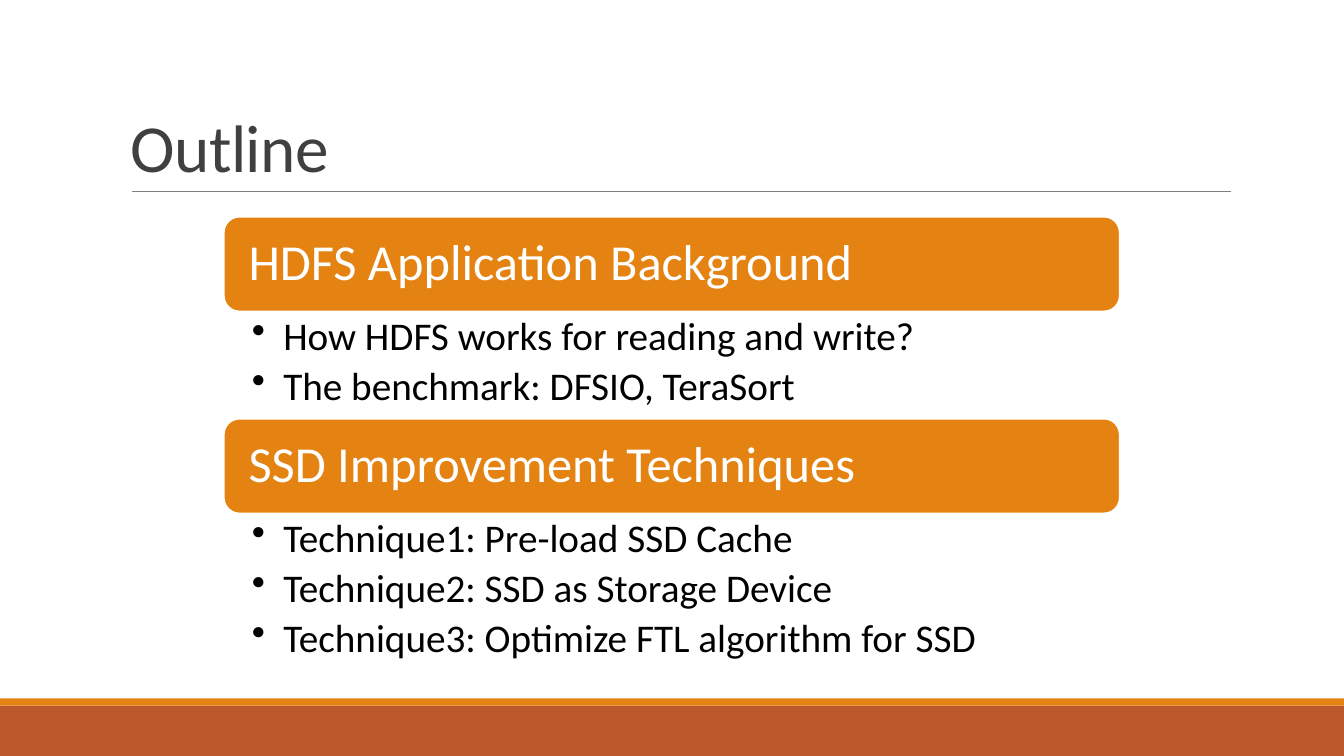
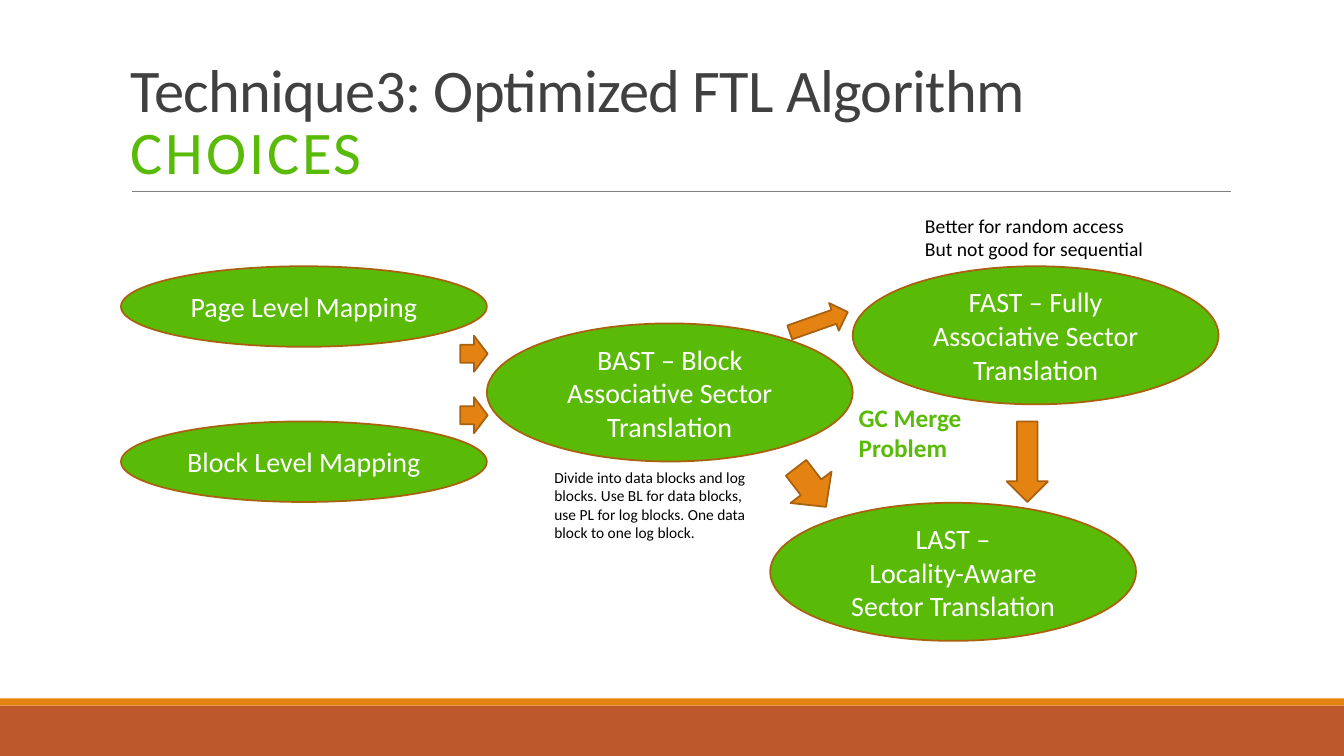
from lxml.etree import SubElement
from pptx import Presentation
from pptx.dml.color import RGBColor
from pptx.enum.shapes import MSO_CONNECTOR, MSO_SHAPE
from pptx.enum.text import MSO_ANCHOR, MSO_AUTO_SIZE, PP_ALIGN
from pptx.oxml.ns import qn
from pptx.util import Cm, Pt

WIDE, HIGH = 33.87, 19.05
FONT = "Calibri"
WHITE, BLACK, DARK, GREY = "FFFFFF", "000000", "404040", "808080"
GOLD, RUST, BROWN, GREEN = "E48312", "BD582C", "A9610D", "59BA08"


def tint(code):
    return RGBColor.from_string(code)


def say(part, text, size=20, color=BLACK, bold=False, align=PP_ALIGN.LEFT,
        lead=1.0, after=0, track=0, dot=None):
    part.text = text
    part.alignment = align
    part.line_spacing = lead
    part.space_before = Pt(0)
    part.space_after = Pt(after)
    run = part.runs[0]
    font = run.font
    font.name, font.size, font.bold = FONT, Pt(size), bold
    font.color.rgb = tint(color)
    if track:
        run._r.get_or_add_rPr().set("spc", str(int(track * 100)))
    if dot:
        prop = part._p.get_or_add_pPr()
        prop.set("marL", str(Cm(0.79)))
        prop.set("indent", str(-Cm(0.79)))
        SubElement(prop, qn("a:buChar")).set("char", dot)


class Deck:
    def __init__(self):
        self.show = Presentation()
        self.show.slide_width, self.show.slide_height = Cm(WIDE), Cm(HIGH)
        self.plan = self.show.slide_layouts[5]
        for item in list(self.plan.placeholders):
            if item.placeholder_format.idx:
                item.element.getparent().remove(item.element)
        self.slide = None

    def page(self, lines):
        first = self.slide is None
        self.slide = self.show.slides.add_slide(self.plan)
        if first:
            self.base()
        title = self.slide.shapes.title
        title.left, title.top = Cm(3.05), Cm(0.79)
        title.width, title.height = Cm(27.94), Cm(4.04)
        self.fill(title, lines, anchor=MSO_ANCHOR.BOTTOM, lead=0.85)

    def base(self):
        parts = [
            self.shape(MSO_SHAPE.RECTANGLE, 0, 17.78, WIDE, 1.27, RUST),
            self.shape(MSO_SHAPE.RECTANGLE, 0, 17.6, WIDE, 0.18, GOLD),
            self.rule(3.33, 4.83, 31.01),
        ]
        for part in parts:
            self.plan.shapes.element.append(part.element)

    def rule(self, left, top, right):
        line = self.slide.shapes.add_connector(
            MSO_CONNECTOR.STRAIGHT, Cm(left), Cm(top), Cm(right), Cm(top))
        line.line.color.rgb = tint(GREY)
        line.line.width = Pt(0.5)
        SubElement(line.element.spPr, qn("a:effectLst"))
        return line

    def shape(self, kind, left, top, wide, high, color, edge=None, turn=0):
        item = self.slide.shapes.add_shape(
            kind, Cm(left), Cm(top), Cm(wide), Cm(high))
        item.shadow.inherit = False
        item.fill.solid()
        item.fill.fore_color.rgb = tint(color)
        if edge:
            item.line.color.rgb = tint(edge)
            item.line.width = Pt(1.25)
        else:
            item.line.fill.background()
        item.rotation = turn
        return item

    def fill(self, item, lines, anchor=MSO_ANCHOR.TOP, wrap=True, inset=0.25, **form):
        frame = item.text_frame
        frame.auto_size = MSO_AUTO_SIZE.NONE
        frame.word_wrap = wrap
        frame.vertical_anchor = anchor
        frame.margin_left = frame.margin_right = Cm(inset)
        for spot, line in enumerate(lines):
            text, own = line if isinstance(line, tuple) else (line, {})
            part = frame.add_paragraph() if spot else frame.paragraphs[0]
            say(part, text, **{**form, **own})

    def note(self, left, top, wide, high, lines, **form):
        box = self.slide.shapes.add_textbox(Cm(left), Cm(top), Cm(wide), Cm(high))
        self.fill(box, lines, **form)

    def oval(self, left, top, high, lines):
        item = self.shape(MSO_SHAPE.OVAL, left, top, 9.22, high, GREEN, BROWN)
        self.fill(item, lines, anchor=MSO_ANCHOR.MIDDLE, color=WHITE,
                  align=PP_ALIGN.CENTER)

    def topic(self, top, head, lines):
        left, wide, bar = 5.64, 22.58, 2.39
        high = 1.35 * len(lines)
        item = self.shape(MSO_SHAPE.ROUNDED_RECTANGLE, left, top, wide, bar, GOLD, WHITE)
        self.fill(item, [head], anchor=MSO_ANCHOR.MIDDLE, inset=0.51,
                  size=36, color=WHITE, lead=0.9)
        self.note(left, top + bar, wide, high, lines, inset=0.71,
                  size=28, lead=0.9, after=5.6, dot="•")
        return top + bar + high


def outline(deck):
    deck.page([("Outline", dict(size=48, color=DARK, track=-0.5))])
    top = 5.46
    for head, lines in [
        ("HDFS Application Background",
         ["How HDFS works for reading and write?",
          "The benchmark: DFSIO, TeraSort"]),
        ("SSD Improvement Techniques",
         ["Technique1: Pre-load SSD Cache",
          "Technique2: SSD as Storage Device",
          "Technique3: Optimize FTL algorithm for SSD"]),
    ]:
        top = deck.topic(top, head, lines)


def choices(deck):
    deck.page([
        ("Technique3: Optimized FTL Algorithm", dict(size=43.2, color=DARK, track=-0.5)),
        ("CHOICES", dict(size=43.2, color=GREEN, track=2)),
    ])
    low, tall = 2.03, 3.48
    for left, top, high, lines in [
        (3.05, 6.71, low, ["Page Level Mapping"]),
        (3.05, 10.62, low, ["Block Level Mapping"]),
        (12.27, 8.15, tall, ["BAST – Block Associative Sector Translation"]),
        (21.49, 6.71, tall, ["FAST – Fully Associative Sector Translation"]),
        (19.41, 12.67, tall, ["LAST –", "Locality-Aware Sector Translation"]),
    ]:
        deck.oval(left, top, high, lines)
    right, down = MSO_SHAPE.RIGHT_ARROW, MSO_SHAPE.DOWN_ARROW
    for kind, left, top, wide, high, turn in [
        (right, 11.6, 8.46, 0.69, 0.91, 0),
        (right, 11.6, 10.01, 0.69, 0.91, 0),
        (right, 19.86, 7.75, 1.55, 0.74, 340.6),
        (down, 25.37, 10.62, 1.04, 2.03, 0),
        (down, 19.79, 11.66, 1.3, 1.24, 322.5),
    ]:
        deck.shape(kind, left, top, wide, high, GOLD, BROWN, turn)
    deck.note(23.06, 5.26, 6.07, 1.45,
              ["Better for random access", "But not good for sequential"],
              wrap=False, size=14)
    deck.note(13.72, 11.66, 5.44, 2.13,
              ["Divide into data blocks and log blocks. Use BL for data blocks, "
               "use PL for log blocks. One data block to one log block."], size=11)
    deck.note(21.39, 10.01, 3.12, 1.8, ["GC Merge", "Problem"],
              wrap=False, size=18, color=GREEN, bold=True)


def main():
    deck = Deck()
    outline(deck)
    choices(deck)
    deck.show.save("out.pptx")


if __name__ == "__main__":
    main()
